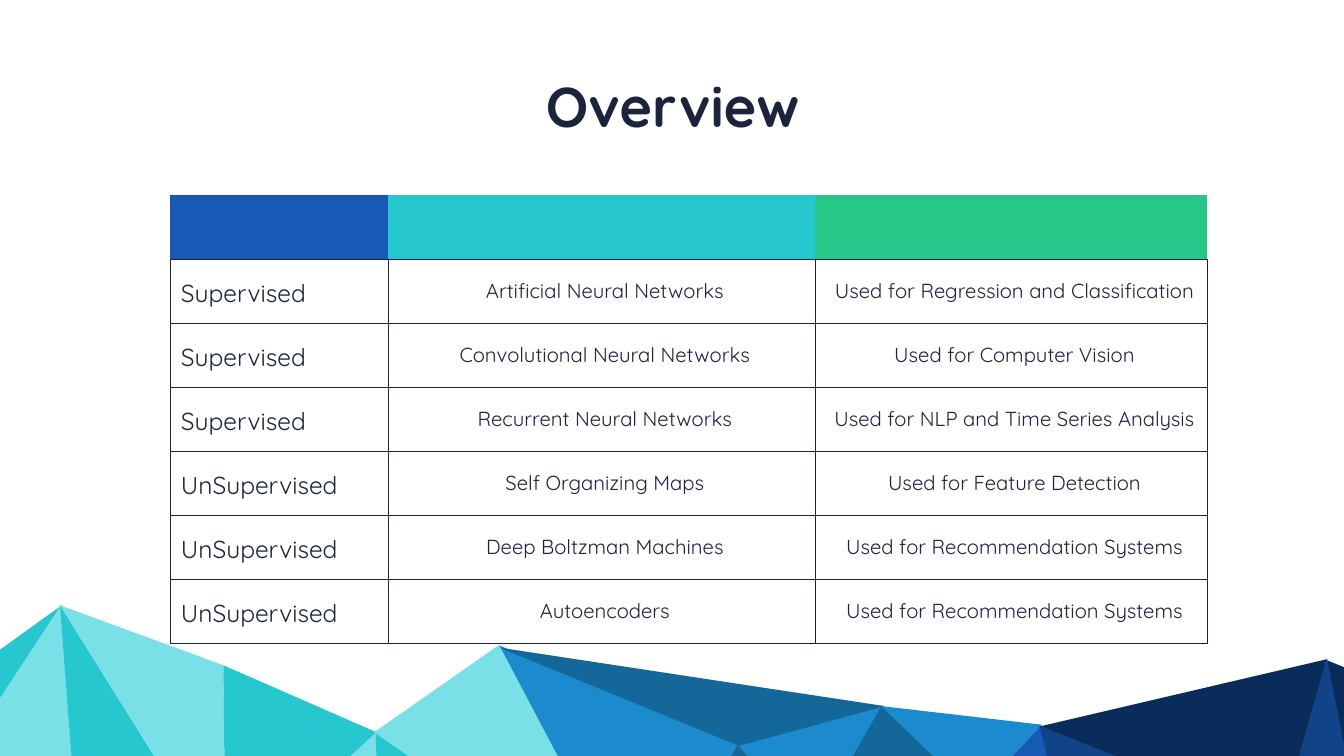
from lxml import etree
from pptx import Presentation
from pptx import util as u
from pptx.dml.color import RGBColor
from pptx.enum import text
from pptx.oxml import ns

COLORS = {
    "ink": "1B243B", "white": "FFFFFF", "green": "27C78A",
    "teal": "27C7CF", "aqua": "78E0E6", "sky": "1B8BCD", "steel": "146899",
    "royal": "165AB6", "cobalt": "104388", "navy": "0A2C5B",
}

FACETS = [
    ("teal", [(1.24, 12), (0, 12.89), (0, 13.88)]),
    ("aqua", [(1.57, 16.64), (1.21, 12.01), (-0.02, 13.88), (-0.02, 16.64)]),
    ("teal", [(4.08, 16.64), (1.19, 12.01), (1.54, 16.64)]),
    ("aqua", [(4.47, 16.64), (4.43, 13.2), (1.19, 12.01), (4.08, 16.64)]),
    ("teal", [(5.18, 16.64), (7.47, 14.53), (4.43, 13.2), (4.47, 16.64)]),
    ("aqua", [(7.55, 16.64), (7.47, 14.53), (5.18, 16.64)]),
    ("teal", [(10.52, 16.64), (7.45, 14.53), (7.53, 16.64)]),
    ("aqua", [(11.94, 16.64), (9.91, 12.79), (7.42, 14.53), (10.49, 16.64)]),
    ("sky", [(13.62, 16.66), (14.66, 14.76), (9.91, 12.81), (11.94, 16.66)]),
    ("sky", [(14.61, 14.79), (16.1, 16.47), (17.51, 14)]),
    ("steel", [(16.08, 16.47), (19.35, 15.8), (17.49, 14)]),
    ("sky", [(17.48, 14.01), (19.34, 15.8), (20.67, 14.38)]),
    ("royal", [(21.24, 16.71), (20.65, 14.4), (19.31, 15.83), (20.28, 16.71)]),
    ("navy", [(20.6, 14.42), (25.4, 16.33), (26.32, 13.08)]),
    ("cobalt", [(24.41, 16.71), (25.42, 16.31), (20.62, 14.4), (21.21, 16.71)]),
    ("navy", [(26.81, 13.3), (26.32, 13.1), (26.81, 15.57)]),
    ("cobalt", [(26.81, 16.71), (26.81, 15.52), (26.32, 13.06), (25.4, 16.31), (26, 16.71)]),
    ("steel", [(9.91, 12.85), (17.55, 14.01), (14.66, 14.8)]),
    ("steel", [(15.71, 16.68), (16.12, 16.46), (14.63, 14.78), (13.59, 16.68)]),
]

NETWORKS = [
    ("Supervised", "Artificial Neural Networks", "Used for Regression and Classification"),
    ("Supervised", "Convolutional Neural Networks", "Used for Computer Vision"),
    ("Supervised", "Recurrent Neural Networks", "Used for NLP and Time Series Analysis"),
    ("UnSupervised", "Self Organizing Maps", "Used for Feature Detection"),
    ("UnSupervised", "Deep Boltzman Machines", "Used for Recommendation Systems"),
    ("UnSupervised", "Autoencoders", "Used for Recommendation Systems"),
]
HEADER_FILLS = ["royal", "teal", "green"]
COLUMN_WIDTHS = [4.32, 8.47, 7.78]
ROW_HEIGHT = 1.27


class Deck:
    font = "Quicksand"
    ink = "ink"

    def __init__(self, width, height):
        self.prs = Presentation()
        self.prs.slide_width = u.Inches(width)
        self.prs.slide_height = u.Inches(height)
        self.slide = self.prs.slides.add_slide(self.prs.slide_layouts[5])

    def color(self, name):
        return RGBColor.from_string(COLORS[name])

    def add_words(self, paragraph, words, size, bold=False, align=text.PP_ALIGN.CENTER):
        paragraph.alignment = align
        run = paragraph.add_run()
        run.text = words
        run.font.name = self.font
        run.font.size = u.Pt(size)
        run.font.bold = bold
        run.font.color.rgb = self.color(self.ink)

    def title(self, words, left, top, width, height):
        heading = self.slide.shapes.title
        heading.left, heading.top = u.Inches(left), u.Inches(top)
        heading.width, heading.height = u.Inches(width), u.Inches(height)
        frame = heading.text_frame
        frame.auto_size = text.MSO_AUTO_SIZE.NONE
        frame.vertical_anchor = text.MSO_ANCHOR.MIDDLE
        self.add_words(frame.paragraphs[0], words, 80, bold=True)

    def facet(self, fill, corners):
        points = [(u.Inches(x), u.Inches(y)) for x, y in corners]
        builder = self.slide.shapes.build_freeform(*points[0])
        builder.add_line_segments(points[1:], close=True)
        facet = builder.convert_to_shape()
        facet.shadow.inherit = False
        facet.fill.solid()
        facet.fill.fore_color.rgb = self.color(fill)
        facet.line.fill.background()

    def style_cell(self, cell, fill, drawn_sides):
        props = cell._tc.get_or_add_tcPr()
        for side in "LRTB":
            edge = etree.SubElement(props, ns.qn(f"a:ln{side}"), w=str(u.Pt(1)))
            if side in drawn_sides:
                paint = etree.SubElement(edge, ns.qn("a:solidFill"))
                etree.SubElement(paint, ns.qn("a:srgbClr"), val=COLORS[self.ink])
            else:
                etree.SubElement(edge, ns.qn("a:noFill"))
        cell.fill.solid()
        cell.fill.fore_color.rgb = self.color(fill)

    def table(self, left, top, widths, row_height, header_fills, rows):
        count = len(rows) + 1
        grid = self.slide.shapes.add_table(
            count, len(widths), u.Inches(left), u.Inches(top),
            u.Inches(sum(widths)), u.Inches(row_height * count)).table
        grid.first_row = grid.horz_banding = False
        for column, width in zip(grid.columns, widths):
            column.width = u.Inches(width)
        for row in grid.rows:
            row.height = u.Inches(row_height)
        for c, fill in enumerate(header_fills):
            self.style_cell(grid.cell(0, c), fill, "B")
        for r, row in enumerate(rows, 1):
            for c, words in enumerate(row):
                cell = grid.cell(r, c)
                cell.margin_left, cell.margin_right = u.Inches(0.21), u.Inches(0.08)
                cell.margin_top, cell.margin_bottom = u.Inches(0.38), u.Inches(0.04)
                self.style_cell(cell, "white", "LRTB")
                size, align = (29, text.PP_ALIGN.CENTER) if c else (35, text.PP_ALIGN.LEFT)
                self.add_words(cell.text_frame.paragraphs[0], words, size, align=align)


def main():
    deck = Deck(26.66, 15)
    for fill, corners in FACETS:
        deck.facet(fill, corners)
    deck.table(3.38, 3.87, COLUMN_WIDTHS, ROW_HEIGHT, HEADER_FILLS, NETWORKS)
    deck.title("Overview", 4.55, 1.36, 17.59, 1.45)
    deck.prs.save("out.pptx")


if __name__ == "__main__":
    main()
